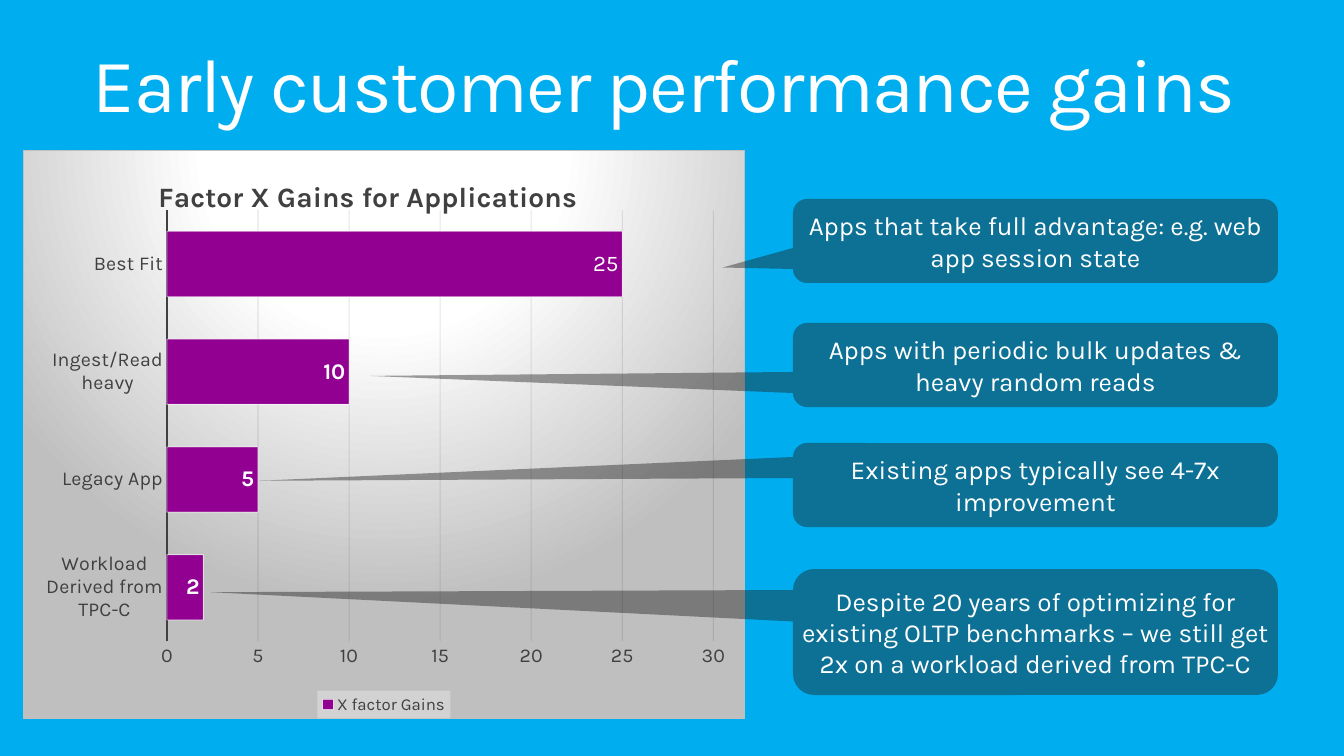
"""Build the slide on early customer performance gains."""
import pptx
import pptx.chart.data
import pptx.dml.color
import pptx.enum.chart
import pptx.enum.shapes
import pptx.enum.text
import pptx.oxml
import pptx.oxml.ns
import pptx.util

EMU_PER_PX = 914400 / 100.8
NAMESPACES = pptx.oxml.ns.nsdecls("a", "c")
GAINS = {
    "Workload Derived from TPC-C": 2,
    "Legacy App": 5,
    "Ingest/Read heavy": 10,
    "Best Fit": 25,
}
EXPLANATIONS = [
    (569, 126, -1.701, -0.316,
     "Despite 20 years of optimizing for existing OLTP benchmarks – we still get 2x on a workload derived from TPC-C"),
    (199, 84, -0.645, 0.316, "Apps that take full advantage: e.g. web app session state"),
    (323, 84, -1.373, 0.13, "Apps with periodic bulk updates & heavy random reads"),
    (443, 84, -1.601, -0.05, "Existing apps typically see 4-7x improvement"),
]


def px(length):
    """Turn pixels into EMU."""
    return pptx.util.Emu(round(length * EMU_PER_PX))


def rgb(hex_string):
    """Turn a hex string into a colour."""
    return pptx.dml.color.RGBColor.from_string(hex_string)


def paint(fill, color, alpha=None):
    """Give a fill a solid colour, with an optional opacity in percent."""
    fill.solid()
    fill.fore_color.rgb = rgb(color)
    if alpha is not None:
        tint = fill._xPr.find(".//" + pptx.oxml.ns.qn("a:srgbClr"))
        tint.append(pptx.oxml.parse_xml(f'<a:alpha {NAMESPACES} val="{alpha * 1000}"/>'))


def stroke(line, color, width, alpha=None):
    """Give a line its colour, width and opacity."""
    paint(line.fill, color, alpha)
    line.width = pptx.util.Pt(width)


def place(parent, index, **fractions):
    """Give a chart part a manual layout in fractions of the chart."""
    for old in parent.findall(pptx.oxml.ns.qn("c:layout")):
        parent.remove(old)
    target = '<c:layoutTarget val="inner"/>' if "w" in fractions else ""
    modes = "".join(f'<c:{key}Mode val="edge"/>' for key in ("x", "y"))
    values = "".join(f'<c:{key} val="{value}"/>' for key, value in fractions.items())
    parent.insert(index, pptx.oxml.parse_xml(
        f"<c:layout {NAMESPACES}><c:manualLayout>{target}{modes}{values}</c:manualLayout></c:layout>"))


class Deck:
    """Hold the style and the current slide."""

    face = "Karla"
    white = "FFFFFF"
    ink = "404040"
    purple = "910091"

    def __init__(self, width, height, background):
        """Open a title-only slide on a plain background."""
        self.presentation = pptx.Presentation()
        self.presentation.slide_width = px(width)
        self.presentation.slide_height = px(height)
        self.slide = self.presentation.slides.add_slide(self.presentation.slide_layouts[5])
        paint(self.slide.background.fill, background)

    def style(self, font, size, color, bold=False):
        """Set the face, size, colour and weight of a font."""
        font.name = self.face
        font.size = pptx.util.Pt(size)
        font.bold = bold
        font.color.rgb = rgb(color)

    def put_text(self, frame, text, size, color, bold=False, align="CENTER", spacing=None, tracking=None):
        """Put one formatted paragraph into a text frame."""
        paragraph = frame.paragraphs[0]
        paragraph.alignment = getattr(pptx.enum.text.PP_ALIGN, align)
        if spacing:
            paragraph.line_spacing = spacing
        run = paragraph.add_run()
        run.text = text
        self.style(run.font, size, color, bold)
        if tracking:
            run.font._element.set("spc", str(tracking * 100))

    def fit(self, frame, vertical_inset):
        """Wrap a middle-anchored frame with no side insets."""
        frame.word_wrap = True
        frame.auto_size = pptx.enum.text.MSO_AUTO_SIZE.NONE
        frame.vertical_anchor = pptx.enum.text.MSO_ANCHOR.MIDDLE
        frame.margin_left = frame.margin_right = 0
        frame.margin_top = frame.margin_bottom = px(vertical_inset)

    def title(self, text, left, top, width, height):
        """Move and fill the title placeholder."""
        heading = self.slide.shapes.title
        heading.left, heading.top = px(left), px(top)
        heading.width, heading.height = px(width), px(height)
        self.fit(heading.text_frame, 0)
        self.put_text(heading.text_frame, text, 54, self.white, align="LEFT", spacing=0.9, tracking=-1)

    def callout(self, text, left, top, width, height, tip_x, tip_y):
        """Add a translucent callout whose tip points at a bar."""
        bubble = self.slide.shapes.add_shape(
            pptx.enum.shapes.MSO_SHAPE.ROUNDED_RECTANGULAR_CALLOUT, px(left), px(top), px(width), px(height))
        bubble.shadow.inherit = False
        for index, value in enumerate((tip_x, tip_y, 0.167)):
            bubble.adjustments[index] = value
        paint(bubble.fill, "202020", 43)
        bubble.line.fill.background()
        self.fit(bubble.text_frame, 5)
        self.put_text(bubble.text_frame, text, 18.6, self.white)

    def bar_chart(self, heading, series_name, gains, left, top, width, height):
        """Add the bar chart of gains."""
        enums = pptx.enum.chart
        data = pptx.chart.data.CategoryChartData()
        data.categories = list(gains)
        data.add_series(series_name, list(gains.values()))
        chart = self.slide.shapes.add_chart(
            enums.XL_CHART_TYPE.BAR_CLUSTERED, px(left), px(top), px(width), px(height), data).chart
        self.style(chart.font, 10, self.white)
        self.chart_area(chart)
        chart.has_title = True
        self.put_text(chart.chart_title.text_frame, heading, 20, self.ink, bold=True)
        place(chart.chart_title._element, 1, x=0.18, y=0.04)
        place(chart._chartSpace.chart.plotArea, 0, x=0.199, y=0.105, w=0.758, h=0.759)
        self.bars(chart.plots[0])
        for axis in (chart.category_axis, chart.value_axis):
            axis.major_tick_mark = axis.minor_tick_mark = enums.XL_TICK_MARK.NONE
            self.style(axis.tick_labels.font, 14, self.ink)
        stroke(chart.category_axis.format.line, self.ink, 1.5)
        scale = chart.value_axis
        scale.minimum_scale, scale.maximum_scale, scale.major_unit = 0, 30, 5
        scale.format.line.fill.background()
        scale.has_major_gridlines = True
        stroke(scale.major_gridlines.format.line, "0D0D0D", 0.75, 10)
        self.legend(chart)

    def chart_area(self, chart):
        """Fill the chart area with a radial gradient and border it."""
        stops = "".join(
            f'<a:gs pos="{position * 1000}"><a:srgbClr val="{color}"/></a:gs>'
            for position, color in ((0, self.white), (39, self.white), (100, "BFBFBF")))
        chart._chartSpace.chart.addnext(pptx.oxml.parse_xml(
            f'<c:spPr {NAMESPACES}><a:gradFill><a:gsLst>{stops}</a:gsLst><a:path path="circle">'
            '<a:fillToRect l="50000" t="-80000" r="50000" b="180000"/></a:path></a:gradFill>'
            '<a:ln w="9525"><a:solidFill><a:srgbClr val="BFBFBF"/></a:solidFill></a:ln></c:spPr>'))

    def bars(self, plot):
        """Format the bars and their value labels."""
        plot.gap_width = 65
        plot.vary_by_categories = False
        series = plot.series[0]
        paint(series.format.fill, self.purple)
        stroke(series.format.line, self.white, 0.75, 50)
        series.data_labels.show_value = True
        best_fit = series.points[3].data_label
        for labels, bold in ((series.data_labels, True), (best_fit, False)):
            self.style(labels.font, 16, self.white, bold)
            labels.position = pptx.enum.chart.XL_LABEL_POSITION.INSIDE_END

    def legend(self, chart):
        """Put the legend below on a pale translucent panel."""
        chart.has_legend = True
        chart.legend.position = pptx.enum.chart.XL_LEGEND_POSITION.BOTTOM
        chart.legend.include_in_layout = False
        self.style(chart.legend.font, 12, self.ink)
        chart.legend._element.find(pptx.oxml.ns.qn("c:txPr")).addprevious(pptx.oxml.parse_xml(
            f'<c:spPr {NAMESPACES}><a:solidFill><a:srgbClr val="F2F2F2"><a:alpha val="39000"/>'
            '</a:srgbClr></a:solidFill><a:ln><a:noFill/></a:ln></c:spPr>'))


def main():
    """Build and save the slide."""
    deck = Deck(1344, 756, "00AEEF")
    deck.title("Early customer performance gains", 93, 40, 1159, 96)
    deck.bar_chart("Factor X Gains for Applications", "X factor Gains", GAINS, 23, 150, 722, 569)
    for top, height, tip_x, tip_y, text in EXPLANATIONS:
        deck.callout(text, 793, top, 485, height, tip_x, tip_y)
    deck.presentation.save("out.pptx")


if __name__ == "__main__":
    main()
